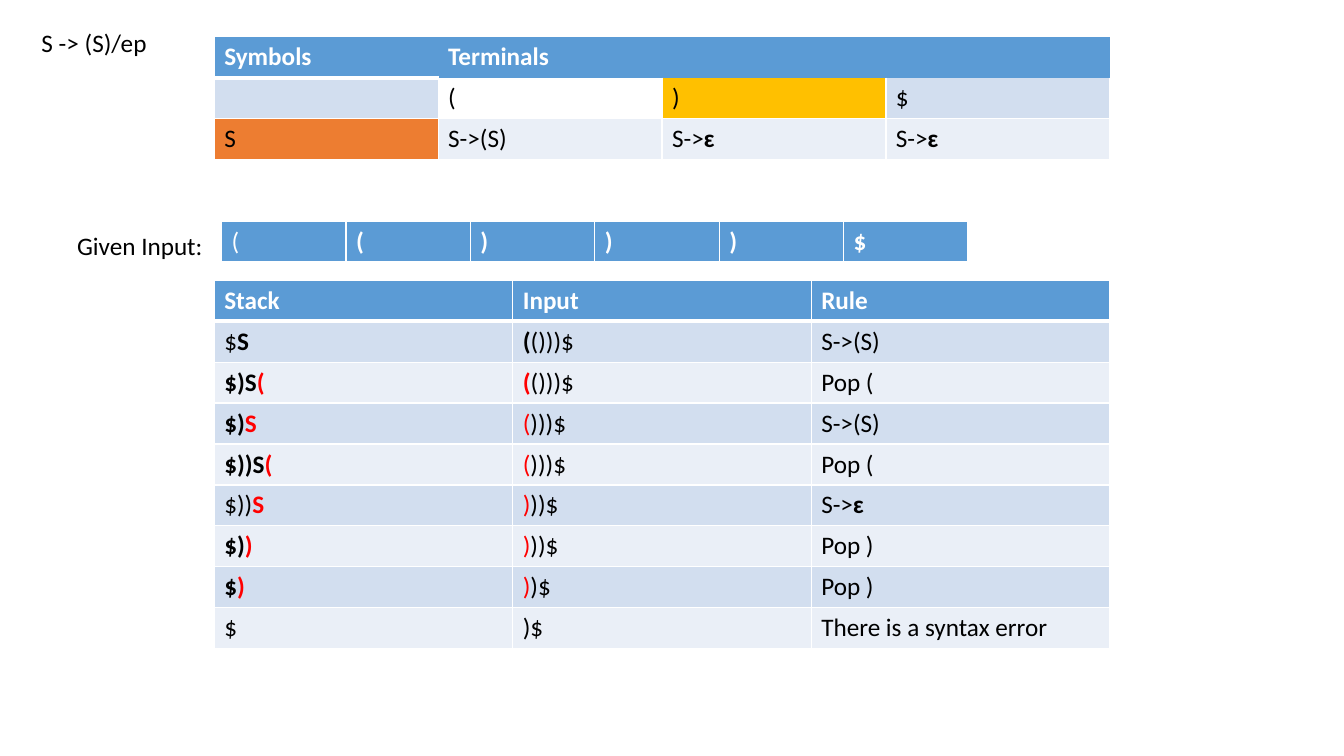
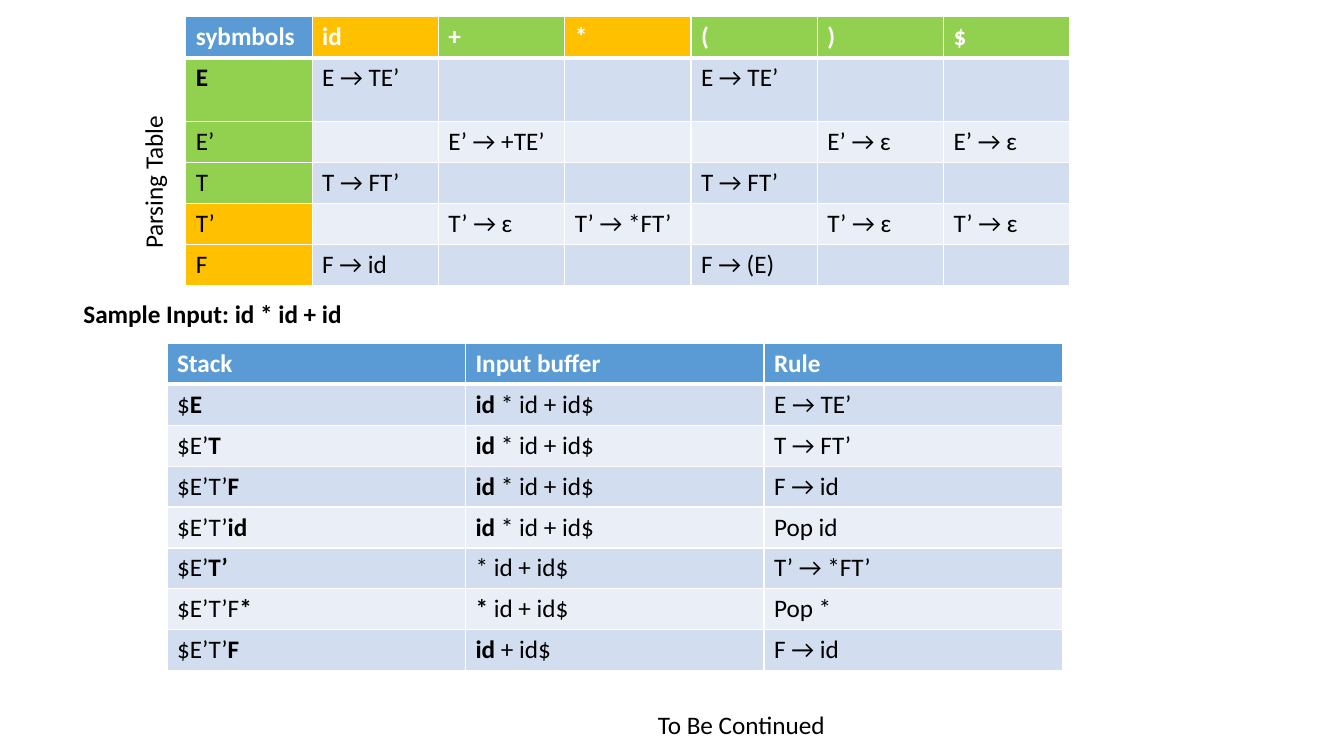
from lxml import etree
from pptx import Presentation
from pptx.dml.color import RGBColor
from pptx.enum.text import MSO_AUTO_SIZE
from pptx.oxml.ns import qn
from pptx.util import Emu, Pt

FIT_TEXT = MSO_AUTO_SIZE.SHAPE_TO_FIT_TEXT
BLANK_LAYOUT = 6
PX = 9525
SLIDE_SIZE = (1280, 720)
ROW_HEIGHT = 39
LABEL_HEIGHT = 39

BLUE, ORANGE, GOLD, GREEN = "5B9BD5", "ED7D31", "FFC000", "92D050"
WHITE, BLACK, RED_INK = "FFFFFF", "000000", "FF0000"
BANDS = ("EAEFF7", "D2DEEF")

FONT = {"name": "Calibri", "size": Pt(18), "bold": False}
BODY = {"color": BLACK}
HEADER = {"color": WHITE, "bold": True}
THIN, THICK = 1, 3
SIDES = ("L", "R", "T", "B")


def px(length):
    """Turn pixels into EMU."""
    return Emu(round(length * PX))


def color(value):
    """Turn a hex string into a colour."""
    return RGBColor.from_string(value)


def bold(text):
    """Return a bold span."""
    return text, {"bold": True}


def plain(text):
    """Return a span that is never bold."""
    return text, {"bold": False}


def red(text):
    """Return a red span."""
    return text, {"color": RED_INK}


def hot(text):
    """Return a red and bold span."""
    return text, {"color": RED_INK, "bold": True}


def write(frame, spans, style):
    """Write a string or a list of spans as one paragraph."""
    para = frame.paragraphs[0]
    for part in [spans] if isinstance(spans, str) else spans:
        text, extra = (part, {}) if isinstance(part, str) else part
        values = {**FONT, **style, **extra}
        span = para.add_run()
        span.text = text
        span.font.color.rgb = color(values.pop("color"))
        for name, value in values.items():
            setattr(span.font, name, value)


def add_label(page, left, top, width, text, style=BODY, rotation=0):
    """Add a one-line text box."""
    box = page.shapes.add_textbox(px(left), px(top), px(width), px(LABEL_HEIGHT))
    box.rotation = rotation
    box.text_frame.word_wrap = False
    box.text_frame.auto_size = FIT_TEXT
    write(box.text_frame, text, style)


def set_borders(cell, widths):
    """Draw white cell borders, with none where the width is zero."""
    properties = cell._tc.get_or_add_tcPr()
    for index, side in enumerate(SIDES):
        width = widths.get(side, THIN)
        line = etree.Element(qn(f"a:ln{side}"), w=str(Pt(width)))
        if width:
            fill = etree.SubElement(line, qn("a:solidFill"))
            etree.SubElement(fill, qn("a:srgbClr"), val=WHITE)
        else:
            etree.SubElement(line, qn("a:noFill"))
        properties.insert(index, line)


def add_grid(page, left, top, width, rows, fills=None, borders=None, styles=None, heights=None):
    """Add a table with a header row, banded rows and equal columns."""
    fills, borders, styles, heights = (item or {} for item in (fills, borders, styles, heights))
    row_heights = [heights.get(index, ROW_HEIGHT) for index in range(len(rows))]
    frame = page.shapes.add_table(
        len(rows), len(rows[0]), px(left), px(top), px(width), px(sum(row_heights)))
    table = frame.table
    table.first_row = table.horz_banding = False
    for column in table.columns:
        column.width = px(width / len(rows[0]))
    for row_index, row in enumerate(rows):
        table.rows[row_index].height = px(row_heights[row_index])
        edges = {0: {"B": THICK}, 1: {"T": THICK}}.get(row_index, {})
        for column_index, spans in enumerate(row):
            place = row_index, column_index
            cell = table.cell(*place)
            cell.fill.solid()
            band = BANDS[row_index % 2] if row_index else BLUE
            cell.fill.fore_color.rgb = color(fills.get(place, band))
            set_borders(cell, {**edges, **borders.get(place, {})})
            if spans:
                write(cell.text_frame, spans, styles.get(place, BODY if row_index else HEADER))
    return table


def add_symbol_table(page, left, top, width):
    """Add the small table whose terminals share one merged heading."""
    rows = [
        ["Symbols", "Terminals", "", ""],
        ["", "(", ")", "$"],
        ["S", "S->(S)", ["S->", bold("ɛ")], ["S->", bold("ɛ")]],
    ]
    borders = {(0, 0): {"R": 0, "B": THICK}}
    for column in range(1, 4):
        borders[0, column] = dict.fromkeys(SIDES, 0)
        borders[1, column] = {"T": 0}
    fills = {(1, 1): WHITE, (1, 2): GOLD, (2, 0): ORANGE}
    table = add_grid(page, left, top, width, rows, fills, borders)
    table.cell(0, 1).merge(table.cell(0, 3))


def add_parsing_table(page, left, top, width):
    """Add the parsing table with coloured headings on two sides."""
    rows = [
        ["sybmbols", "id", "+", "*", "(", ")", "$"],
        ["E", "E → TE’", "", "", "E → TE’", "", ""],
        ["E’", "", "E’ → +TE’", "", "", "E’ → ɛ", "E’ → ɛ"],
        ["T", "T → FT’", "", "", "T → FT’", "", ""],
        ["T’", "", "T’ → ɛ", "T’ → *FT’", "", "T’ → ɛ", "T’ → ɛ"],
        ["F", "F → id", "", "", "F → (E)", "", ""],
    ]
    fills = {(0, column): GREEN for column in (2, 4, 5, 6)}
    fills.update({(row, 0): GREEN for row in (1, 2, 3)})
    fills.update(dict.fromkeys([(0, 1), (0, 3), (4, 0), (5, 0)], GOLD))
    styles = {(1, 0): {**BODY, "bold": True}}
    add_grid(page, left, top, width, rows, fills, styles=styles, heights={1: 67 - 6})


def add_brackets_page(deck):
    """Build the page that parses nested brackets."""
    page = deck.slides.add_slide(deck.slide_layouts[BLANK_LAYOUT])
    add_label(page, 30, 21, 121, "S -> (S)/ep")
    add_symbol_table(page, 204, 35, 853)
    add_label(page, 64, 215, 140, "Given Input:")
    add_grid(page, 211, 211, 711, [[[plain("(")], "(", ")", ")", ")", "$"]])
    add_grid(page, 204, 267, 853, [
        ["Stack", "Input", "Rule"],
        [["$", bold("S")], [bold("("), "()))$"], "S->(S)"],
        [[bold("$)S"), hot("(")], [hot("("), "()))$"], "Pop ("],
        [[bold("$)"), hot("S")], [red("("), ")))$"], "S->(S)"],
        [[bold("$))S"), hot("(")], [red("("), ")))$"], "Pop ("],
        [["$))", hot("S")], [red(")"), "))$"], ["S->", bold("ɛ")]],
        [[bold("$)"), hot(")")], [red(")"), "))$"], "Pop )"],
        [[bold("$"), hot(")")], [red(")"), ")$"], "Pop )"],
        ["$", ")$", "There is a syntax error"],
    ])


def add_expression_page(deck):
    """Build the page that parses an arithmetic expression."""
    page = deck.slides.add_slide(deck.slide_layouts[BLANK_LAYOUT])
    add_parsing_table(page, 177, 16, 842)
    add_label(page, 72, 153, 148, "Parsing Table", rotation=270)
    add_label(page, 70, 279, 268, "Sample Input: id * id + id", {**BODY, "bold": True})
    whole_input = [bold("id"), " * id + id$"]
    add_grid(page, 159, 327, 853, [
        ["Stack", "Input buffer", "Rule"],
        [["$", bold("E")], whole_input, "E → TE’"],
        [["$E’", bold("T")], whole_input, "T → FT’"],
        [["$E’T’", bold("F")], whole_input, "F → id"],
        [["$E’T’", bold("id")], whole_input, "Pop id"],
        [["$E’", bold("T’")], "* id + id$", "T’ → *FT’"],
        [["$E’T’F", bold("*")], [bold("*"), " id + id$"], "Pop *"],
        [["$E’T’", bold("F")], [bold("id"), " + id$"], "F → id"],
    ])
    add_label(page, 617, 671, 180, "To Be Continued")


def main():
    """Build and save the deck."""
    deck = Presentation()
    deck.slide_width, deck.slide_height = map(px, SLIDE_SIZE)
    add_brackets_page(deck)
    add_expression_page(deck)
    deck.save("out.pptx")


if __name__ == "__main__":
    main()
